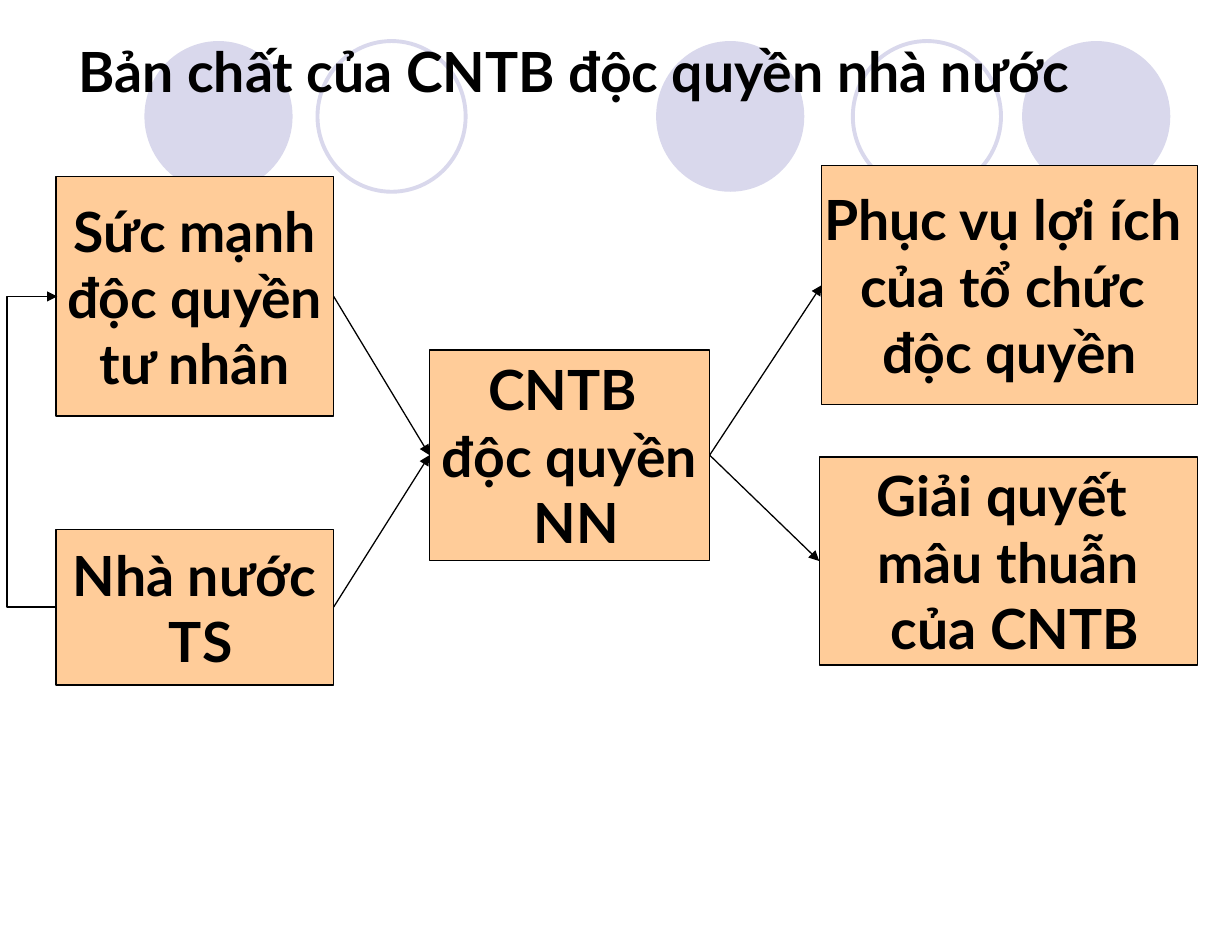
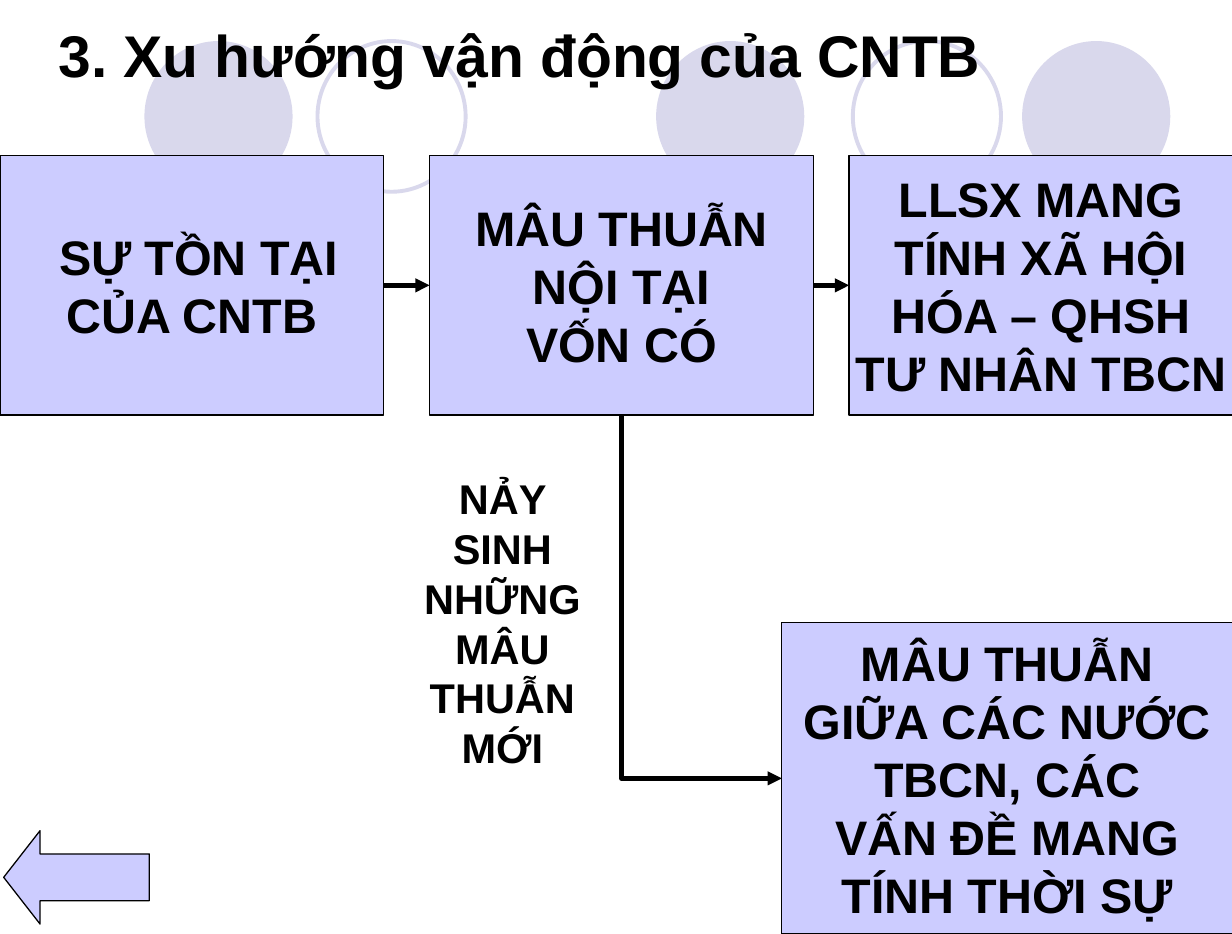
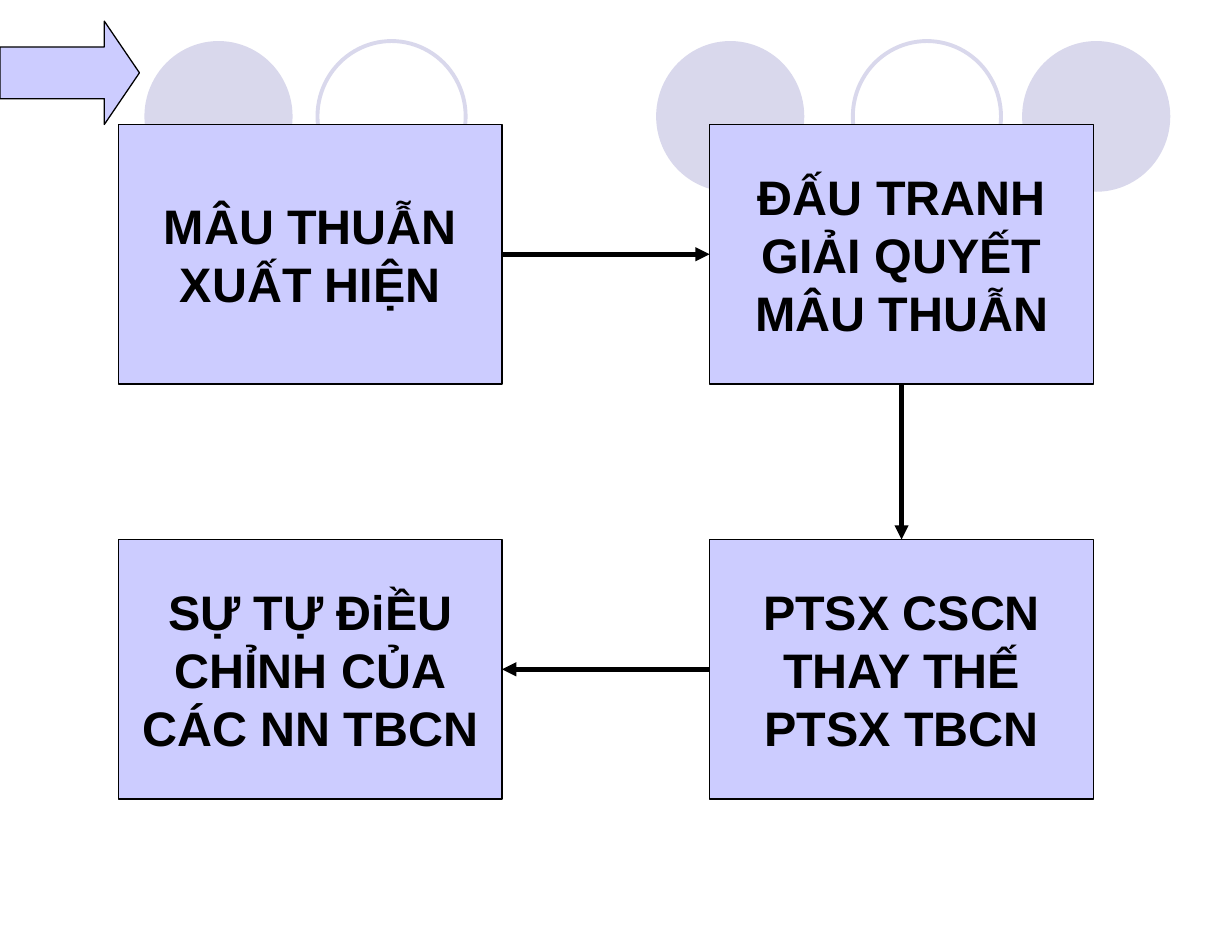
from pptx import Presentation
from pptx.dml.color import RGBColor as RGB
from pptx.enum.shapes import MSO_CONNECTOR as Wire, MSO_SHAPE as Kind
from pptx.enum.text import MSO_ANCHOR as Anchor, MSO_AUTO_SIZE as Fit, PP_ALIGN as Align
from pptx.oxml.ns import qn
from pptx.util import Inches, Pt
from lxml.etree import SubElement as Sub

BLACK = RGB(0x00, 0x00, 0x00)
PEACH = RGB(0xFF, 0xCC, 0x99)
LILAC = RGB(0xCC, 0xCC, 0xFF)
MIST = RGB(0xD9, 0xD8, 0xEC)

# Places are counted in columns and rows of one unit, about 99 by 75 to a slide.
UNIT = Inches(0.1)
TOP, LEFT, BOTTOM, RIGHT = range(4)
CARD = 30.83, 20.83


def box(slide, area, lines=(), fill=LILAC, face="Arial", size=28, kind=Kind.RECTANGLE):
    """Add an outlined shape with one centred paragraph per line."""
    shape = slide.shapes.add_shape(kind, *[round(n * UNIT) for n in area])
    shape.shadow.inherit = False
    shape.fill.solid()
    shape.fill.fore_color.rgb = fill
    shape.line.color.rgb = BLACK
    shape.line.width = Pt(0.75)
    frame = shape.text_frame
    frame.word_wrap = False
    frame.vertical_anchor = Anchor.MIDDLE
    for i, line in enumerate(lines):
        para = frame.add_paragraph() if i else frame.paragraphs[0]
        para.alignment = Align.CENTER
        run = para.add_run()
        run.text = line
        run.font.name, run.font.size = face, Pt(size)
        run.font.bold, run.font.color.rgb = True, BLACK
    return shape


def link(slide, start, side, end, goal, width=2.75, kind=Wire.STRAIGHT):
    """Add an arrow from one side of a box to a side of another."""
    wire = slide.shapes.add_connector(kind, 0, 0, 0, 0)
    wire.begin_connect(start, side)
    wire.end_connect(end, goal)
    wire.line.color.rgb = BLACK
    wire.line.width = Pt(width)
    props = wire.element.spPr
    Sub(props.find(qn("a:ln")), qn("a:tailEnd"), type="triangle")
    Sub(props, qn("a:effectLst"))
    return wire


deck = Presentation()
deck.slide_width, deck.slide_height = Pt(712.5), Pt(540)
titled, blank = deck.slide_layouts[5], deck.slide_layouts[6]
first, second, third = [deck.slides.add_slide(lay) for lay in (titled, titled, blank)]

# The row of circles belongs to the master, so every slide shows it.
tree = deck.slide_master.shapes.element
for i, (x, full) in enumerate([(52.7, True), (82.1, True), (11.6, True),
                               (68.5, False), (25.5, False)]):
    disc = first.shapes.add_shape(Kind.OVAL, *[round(n * UNIT) for n in (x, 3.3, 11.9, 12.1)])
    disc.shadow.inherit = False
    if full:
        disc.fill.solid()
        disc.fill.fore_color.rgb = MIST
        disc.line.fill.background()
    else:
        disc.fill.background()
        disc.line.color.rgb = MIST
        disc.line.width = Pt(2.25)
    tree.insert(2 + i, disc.element)

# Titles
for slide, text, area, face, size, align, anchor in [
    (first, "Bản chất của CNTB độc quyền nhà nước", (2, 2.5, 88.3, 11.7),
     "Lato", 32, Align.CENTER, Anchor.TOP),
    (second, "3. Xu hướng vận động của CNTB", (3.7, 0.8, 89.1, 7),
     "Arial", 34, Align.LEFT, Anchor.MIDDLE),
]:
    head = slide.shapes.title
    head.left, head.top, head.width, head.height = [round(n * UNIT) for n in area]
    frame = head.text_frame
    frame.auto_size, frame.word_wrap, frame.vertical_anchor = Fit.NONE, True, anchor
    para = frame.paragraphs[0]
    para.alignment = align
    run = para.add_run()
    run.text = text
    run.font.name, run.font.size = face, Pt(size)
    run.font.bold, run.font.color.rgb = True, BLACK

# Slide 1: nature of state monopoly
power, state, core, gain, solve = [
    box(first, area, lines, PEACH, "Lato", 32) for area, lines in [
        ((4.5, 14.2, 22.3, 19.2), ["Sức mạnh", " độc quyền ", "tư nhân"]),
        ((4.5, 42.5, 22.3, 12.5), ["Nhà nước", " TS"]),
        ((34.5, 28.1, 22.5, 16.9), ["CNTB ", "độc quyền", " NN"]),
        ((66, 13.3, 30.2, 19.2), ["Phục vụ lợi ích ", "của tổ chức ", "độc quyền"]),
        ((65.8, 36.7, 30.4, 16.7), ["Giải quyết ", "mâu thuẫn", " của CNTB"]),
    ]]
# The loop leaves and enters on the left; its bend is a multiple of its tiny width.
loop = link(first, state, LEFT, power, LEFT, 0.75, Wire.ELBOW)
loop.width = round(0.1 * UNIT)
props = loop.element.spPr
bend = props.find(qn("a:prstGeom")).get_or_add_avLst()
Sub(bend, qn("a:gd"), name="adj1", fmla="val -4000000")
turn = props.find(qn("a:xfrm"))
for name, value in [("rot", "10800000"), ("flipH", "1"), ("flipV", "0")]:
    turn.set(name, value)
for start, end in [(power, core), (state, core), (core, gain), (core, solve)]:
    link(first, start, RIGHT, end, LEFT, 0.75)

# Slide 2: trend of movement
life, clash, force, news = [
    box(second, area, lines) for area, lines in [
        ((0, 12.5, *CARD), [" SỰ TỒN TẠI", "CỦA CNTB"]),
        ((34.5, 12.5, *CARD), ["MÂU THUẪN", "NỘI TẠI", "VỐN CÓ"]),
        ((68.2, 12.5, *CARD), ["LLSX MANG", "TÍNH XÃ HỘI", "HÓA – QHSH", "TƯ NHÂN TBCN"]),
        ((62.8, 50, 36.2, 25), ["MÂU THUẪN", "GIỮA CÁC NƯỚC", "TBCN, CÁC",
                                "VẤN ĐỀ MANG", "TÍNH THỜI SỰ"]),
    ]]
link(second, life, RIGHT, clash, LEFT)
link(second, clash, RIGHT, force, LEFT)

# The elbow runs down and then right: a turned, mirrored two-part bend.
elbow = link(second, clash, BOTTOM, news, LEFT, kind=Wire.ELBOW)
wide, high = elbow.width, elbow.height
elbow.left += (wide - high) // 2
elbow.top += (high - wide) // 2
elbow.width, elbow.height = high, wide
props = elbow.element.spPr
props.find(qn("a:prstGeom")).set("prst", "bentConnector2")
turn = props.find(qn("a:xfrm"))
turn.set("rot", "16200000")
turn.set("flipH", "1")

note = second.shapes.add_textbox(*[round(n * UNIT) for n in (32, 37.5, 16.7, 25)])
note.text_frame.word_wrap = True
para = note.text_frame.paragraphs[0]
para.alignment = Align.CENTER
run = para.add_run()
run.text = "NẢY SINH NHỮNG MÂU THUẪN MỚI"
run.font.name, run.font.size = "Arial", Pt(24)
run.font.bold, run.font.color.rgb = True, BLACK
back = box(second, (0.3, 66.7, 11.7, 7.5), kind=Kind.LEFT_ARROW)
back.adjustments[1] = 0.39

# Slide 3: cycle of contradictions, on two columns and two rows
cards = [box(third, (x, y, *CARD), lines) for x, y, lines in [
    (9.5, 10, ["MÂU THUẪN", "XUẤT HIỆN"]),
    (57, 10, ["ĐẤU TRANH", "GIẢI QUYẾT", "MÂU THUẪN"]),
    (57, 43.33, ["PTSX CSCN", "THAY THẾ", "PTSX TBCN"]),
    (9.5, 43.33, ["SỰ TỰ ĐiỀU", "CHỈNH CỦA", "CÁC NN TBCN"]),
]]
for i, (side, goal) in enumerate([(RIGHT, LEFT), (BOTTOM, TOP), (LEFT, RIGHT)]):
    link(third, cards[i], side, cards[i + 1], goal)
ahead = box(third, (0, 1.7, 11.2, 8.3), kind=Kind.RIGHT_ARROW)
ahead.adjustments[1] = 0.34

deck.save("out.pptx")
